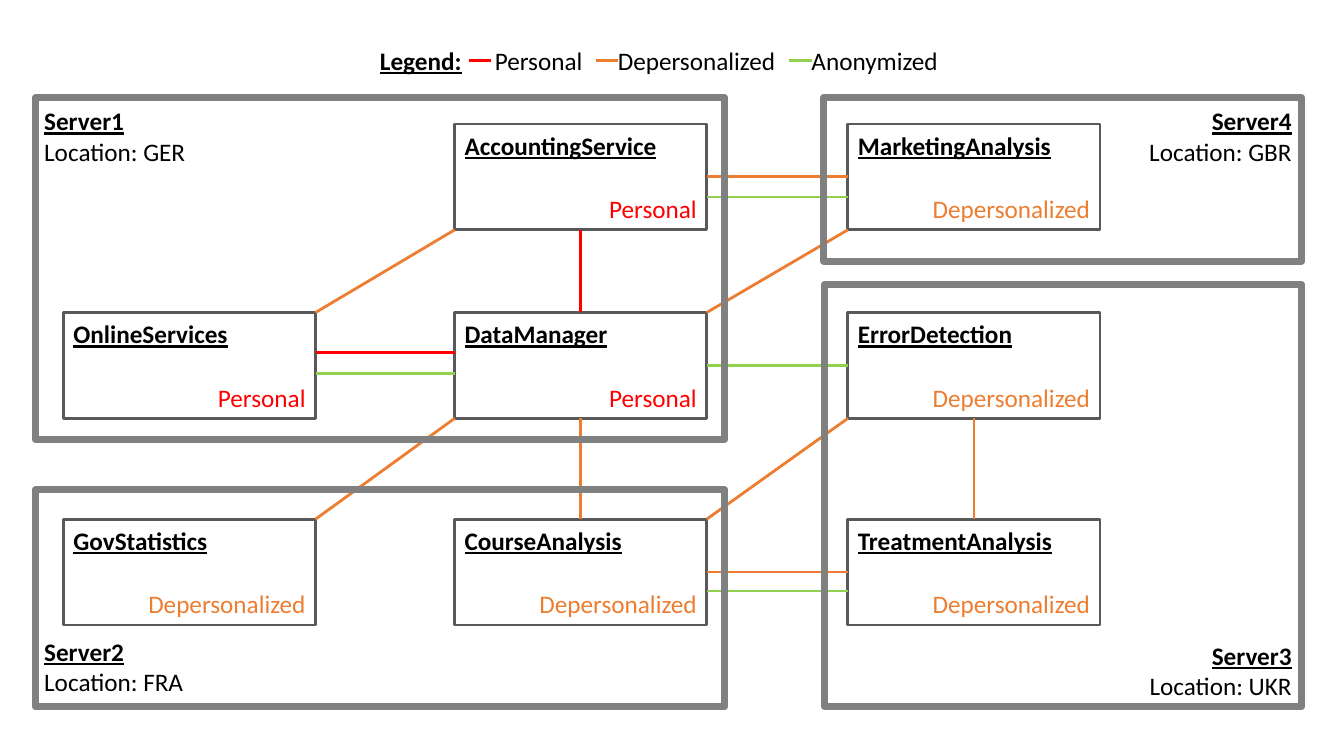
from dataclasses import dataclass

from lxml.etree import SubElement
from pptx import Presentation
from pptx.dml.color import RGBColor
from pptx.enum.shapes import MSO_CONNECTOR, MSO_SHAPE
from pptx.enum.text import MSO_AUTO_SIZE, PP_ALIGN
from pptx.oxml.ns import qn
from pptx.util import Inches, Pt


@dataclass(frozen=True)
class Theme:
    """Colours, font and sizes of the slide."""
    ink: str = "000000"
    edge: str = "595959"
    frame: str = "808080"
    red: str = "FF0000"
    orange: str = "ED7D31"
    green: str = "92D050"
    font: str = "Calibri"
    size: int = 18
    thin: int = 2
    thick: int = 5


THEME = Theme()
COLS = (0.63, 4.51, 8.41)
ROWS = (1.23, 3.1, 5.15)
WIDE, HIGH = 2.5, 1.05
LINE = 0.4

SERVICES = {
    "AccountingService": (1, 0, "Personal"),
    "MarketingAnalysis": (2, 0, "Depersonalized"),
    "OnlineServices": (0, 1, "Personal"),
    "DataManager": (1, 1, "Personal"),
    "ErrorDetection": (2, 1, "Depersonalized"),
    "GovStatistics": (0, 2, "Depersonalized"),
    "CourseAnalysis": (1, 2, "Depersonalized"),
    "TreatmentAnalysis": (2, 2, "Depersonalized"),
}
COLOURS = {
    "Personal": THEME.red,
    "Depersonalized": THEME.orange,
    "Anonymized": THEME.green,
}
JOINED = (
    ("AccountingService", 2, "DataManager", 0, "Personal"),
    ("DataManager", 2, "CourseAnalysis", 0, "Depersonalized"),
    ("ErrorDetection", 2, "TreatmentAnalysis", 0, "Depersonalized"),
    ("AccountingService", 3, "MarketingAnalysis", 1, "Depersonalized"),
    ("CourseAnalysis", 3, "TreatmentAnalysis", 1, "Depersonalized"),
    ("DataManager", 3, "ErrorDetection", 1, "Anonymized"),
)
LEVEL = (
    ("OnlineServices", "DataManager", 0.38, "Personal"),
    ("OnlineServices", "DataManager", 0.58, "Anonymized"),
    ("AccountingService", "MarketingAnalysis", 0.69, "Anonymized"),
    ("CourseAnalysis", "TreatmentAnalysis", 0.68, "Anonymized"),
)
SLANTED = (
    ("OnlineServices", "AccountingService"),
    ("DataManager", "MarketingAnalysis"),
    ("GovStatistics", "DataManager"),
    ("CourseAnalysis", "ErrorDetection"),
)
SERVERS = (
    ("Server1", "GER", (0.35, 0.97, 6.84, 3.39), 1, PP_ALIGN.LEFT),
    ("Server2", "FRA", (0.35, 4.86, 6.84, 2.15), 6.26, PP_ALIGN.LEFT),
    ("Server3", "UKR", (8.18, 2.82, 4.73, 4.19), 6.3, PP_ALIGN.RIGHT),
    ("Server4", "GBR", (8.17, 0.97, 4.74, 1.62), 1, PP_ALIGN.RIGHT),
)


def add_box(slide, area, colour, weight):
    """Draw an unfilled rectangle."""
    box = slide.shapes.add_shape(MSO_SHAPE.RECTANGLE, *map(Inches, area))
    box.shadow.inherit = False
    box.fill.background()
    box.line.color.rgb = RGBColor.from_string(colour)
    box.line.width = Pt(weight)
    return box


def add_line(slide, start, end, colour):
    """Draw a straight line between two points."""
    line = slide.shapes.add_connector(
        MSO_CONNECTOR.STRAIGHT, *map(Inches, (*start, *end)))
    line.line.color.rgb = RGBColor.from_string(colour)
    line.line.width = Pt(THEME.thin)
    SubElement(line._element.spPr, qn("a:effectLst"))
    return line


def add_text(slide, area, rows, colour=THEME.ink, align=PP_ALIGN.LEFT, tabs=()):
    """Write rows of (text, is heading) in a text box."""
    box = slide.shapes.add_textbox(*map(Inches, area))
    frame = box.text_frame
    frame.word_wrap = True
    frame.auto_size = MSO_AUTO_SIZE.SHAPE_TO_FIT_TEXT
    for i, (text, head) in enumerate(rows):
        para = frame.add_paragraph() if i else frame.paragraphs[0]
        para.text = text
        para.alignment = align
        if tabs:
            stops = SubElement(para._p.get_or_add_pPr(), qn("a:tabLst"))
            for stop in tabs:
                SubElement(stops, qn("a:tab"), pos=str(Inches(stop)), algn="l")
        font = para.font
        font.name = THEME.font
        font.size = Pt(THEME.size)
        font.bold = font.underline = head
        font.color.rgb = RGBColor.from_string(colour)


def add_service(slide, name, col, row, kind):
    """Draw a service with its name and kind of data."""
    left, top = COLS[col], ROWS[row]
    box = add_box(slide, (left, top, WIDE, HIGH), THEME.edge, THEME.thin)
    add_text(slide, (left, top + 0.01, WIDE, LINE), [(name, True)])
    add_text(slide, (left, top + 0.64, WIDE, LINE), [(kind, False)],
             COLOURS[kind], PP_ALIGN.RIGHT)
    return box


def add_server(slide, name, place, area, top, align):
    """Draw a server frame with its name and location."""
    add_box(slide, area, THEME.frame, THEME.thick)
    left = 0.34 if align == PP_ALIGN.LEFT else 10.45
    add_text(slide, (left, top, 2.46, 0.71),
             [(name, True), (f"Location: {place}", False)], align=align)


def add_legend(slide):
    """Draw the line colours and what they mean."""
    add_text(slide, (3.67, 0.4, 1.04, LINE), [("Legend:", True)])
    add_text(slide, (4.81, 0.4, 4.74, LINE), [("\t".join(COLOURS), False)],
             tabs=(1.22, 3.14))
    for left, colour in zip((4.65, 5.91, 7.83), COLOURS.values()):
        add_line(slide, (left, 0.6), (left + 0.22, 0.6), colour)


def spot(name, across, down):
    """Find a point on a service, as shares of its width and height."""
    col, row, _ = SERVICES[name]
    return COLS[col] + across * WIDE, ROWS[row] + down * HIGH


def add_links(slide, boxes):
    """Draw the data flows between services."""
    for first, out, last, into, kind in JOINED:
        line = add_line(slide, spot(first, 0.5, 0.5), spot(last, 0.5, 0.5),
                        COLOURS[kind])
        line.begin_connect(boxes[first], out)
        line.end_connect(boxes[last], into)
    for first, last, down, kind in LEVEL:
        add_line(slide, spot(first, 1, down), spot(last, 0, down), COLOURS[kind])
    for first, last in SLANTED:
        add_line(slide, spot(first, 1, 0), spot(last, 0, 1), THEME.orange)


def main():
    """Build and save the slide."""
    deck = Presentation()
    deck.slide_width, deck.slide_height = Inches(13.33), Inches(7.5)
    slide = deck.slides.add_slide(deck.slide_layouts[6])
    add_legend(slide)
    boxes = {name: add_service(slide, name, *info)
             for name, info in SERVICES.items()}
    add_links(slide, boxes)
    for server in SERVERS:
        add_server(slide, *server)
    deck.save("out.pptx")


if __name__ == "__main__":
    main()
